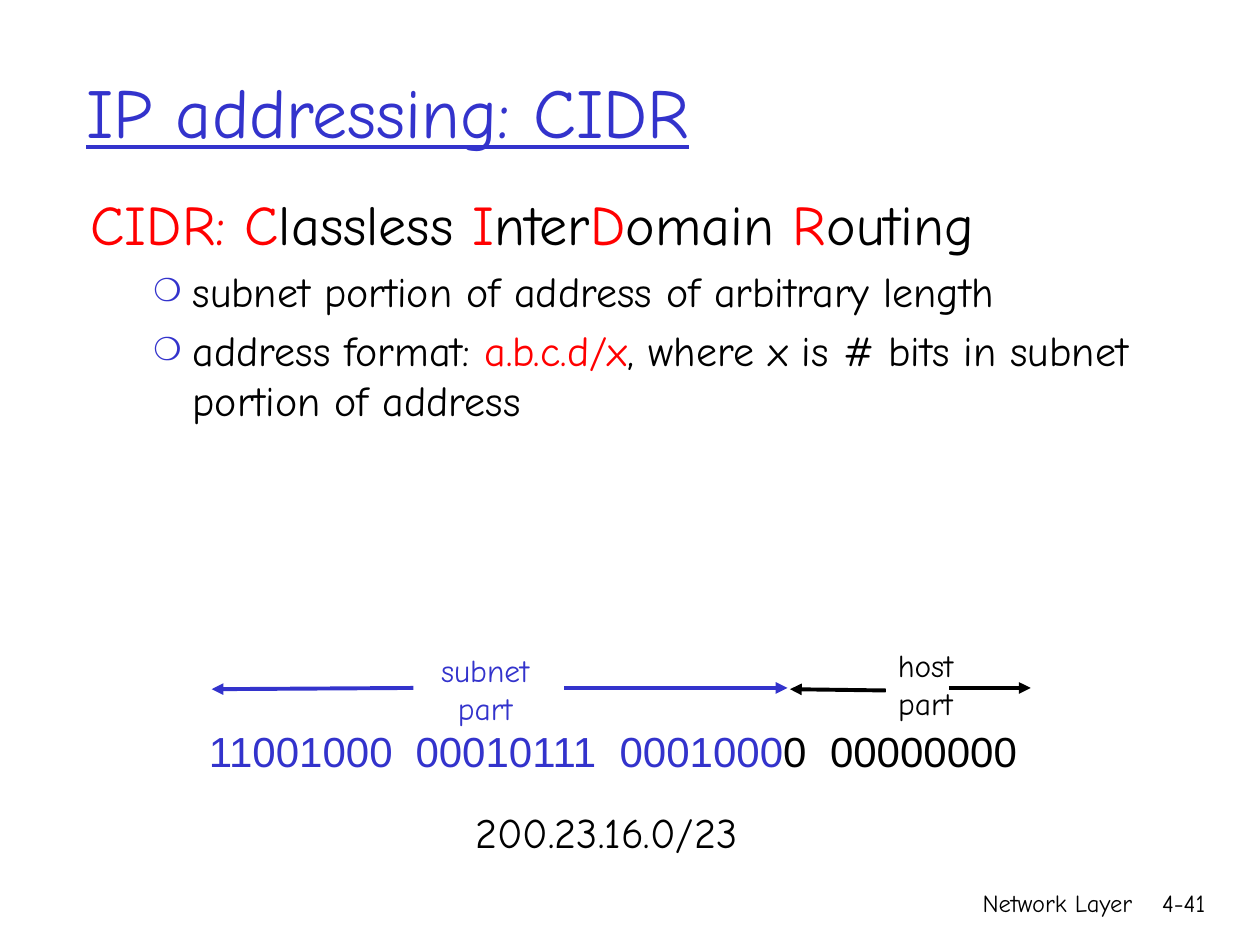
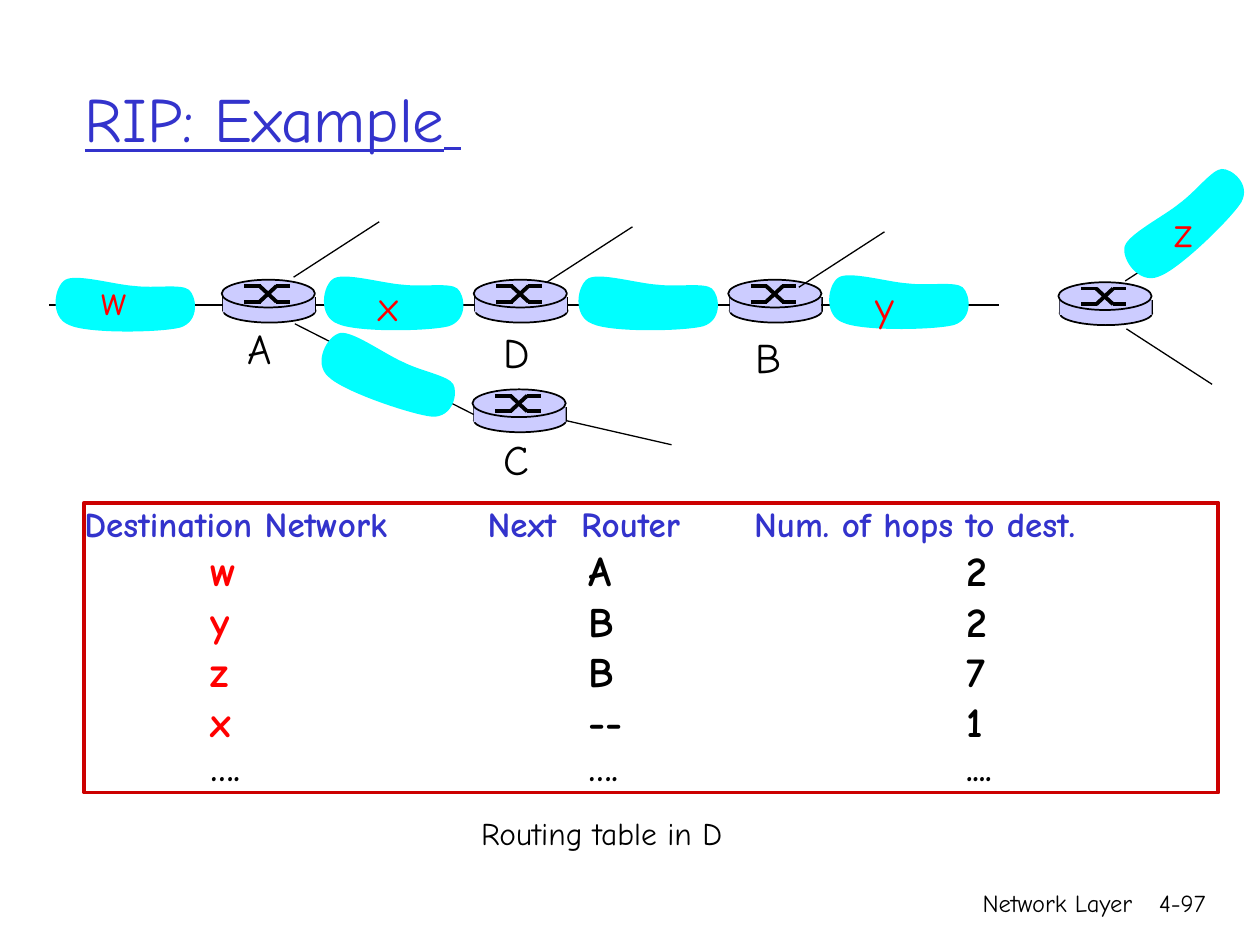
"""Build two networking slides: CIDR addressing and a RIP routing example."""
from dataclasses import dataclass
from typing import Any, NamedTuple

from lxml.etree import SubElement
from pptx import Presentation
from pptx.dml.color import RGBColor
from pptx.enum.shapes import MSO_CONNECTOR, MSO_SHAPE
from pptx.enum.text import MSO_ANCHOR, PP_ALIGN
from pptx.oxml.ns import qn
from pptx.util import Inches, Pt

SLIDE_WIDTH, SLIDE_HEIGHT = Inches(10), Inches(7.5)
COLUMNS = 100
CELL = SLIDE_WIDTH / COLUMNS


@dataclass(frozen=True)
class Theme:
    """Colours, fonts, type sizes and line widths shared by the slides."""
    ink: str = "000000"
    accent: str = "3333CC"
    highlight: str = "FF0000"
    frame: str = "CC0000"
    network: str = "00FFFF"
    router: str = "CCCCFF"
    face: str = "Comic Neue"
    digits: str = "Arial"
    title: float = 40
    small_title: float = 36
    title_tail: float = 28
    lead: float = 32
    body: float = 24
    header: float = 20
    label: float = 18
    footer: float = 14
    thin: float = 0.75
    medium: float = 1
    thick: float = 2.25


THEME = Theme()


class Box(NamedTuple):
    """A rectangle in grid cells."""
    left: float
    top: float
    width: float
    height: float


class Point(NamedTuple):
    """A position in grid cells."""
    x: float
    y: float


class Run(NamedTuple):
    """Text that may differ in colour or size from its paragraph."""
    text: str
    color: str | None = None
    size: float | None = None


class Label(NamedTuple):
    """A short text and its box."""
    text: str
    box: Box


class Arrow(NamedTuple):
    """An arrow pointing at its end."""
    start: Point
    end: Point
    color: str


class Network(NamedTuple):
    """The corner and rotation of one network cloud."""
    corner: Point
    angle: float = 0


class Route(NamedTuple):
    """One line of the routing table."""
    destination: str
    router: str
    hops: str


def cells(*counts: float) -> list[int]:
    """Convert grid cells to slide units."""
    return [round(count * CELL) for count in counts]


def add_bullet(paragraph: Any) -> None:
    """Give a paragraph a hanging ring bullet."""
    props = paragraph._p.get_or_add_pPr()
    props.set("marL", str(Inches(0.81)))
    props.set("indent", str(-Inches(0.31)))
    SubElement(SubElement(props, qn("a:buClr")), qn("a:srgbClr"), val=THEME.accent)
    SubElement(props, qn("a:buSzPct"), val="75000")
    SubElement(props, qn("a:buFont"), typeface=THEME.digits)
    SubElement(props, qn("a:buChar"), char="❍")


def write(frame: Any, *paragraphs: list[Run], size: float = THEME.body,
          color: str = THEME.ink, face: str = THEME.face, bold: bool = False,
          underline: bool = False, align: PP_ALIGN = PP_ALIGN.LEFT,
          bullets_from: int | None = None, tabs: tuple[float, ...] = ()) -> None:
    """Append formatted paragraphs to a text frame."""
    for index, runs in enumerate(paragraphs):
        paragraph = frame.add_paragraph() if frame.text else frame.paragraphs[0]
        paragraph.alignment = align
        if bullets_from is not None and index >= bullets_from:
            paragraph.space_before = Pt(5)
            add_bullet(paragraph)
        if tabs:
            stops = SubElement(paragraph._p.get_or_add_pPr(), qn("a:tabLst"))
            for stop in cells(*tabs):
                SubElement(stops, qn("a:tab"), pos=str(stop), algn="l")
        for part in runs:
            run = paragraph.add_run()
            run.text = part.text
            font = run.font
            font.name, font.size = face, Pt(part.size or size)
            font.bold, font.underline = bold, underline
            font.color.rgb = RGBColor.from_string(part.color or color)


def add_text(slide: Any, box: Box, *paragraphs: list[Run], wrap: bool = False,
             anchor: MSO_ANCHOR = MSO_ANCHOR.TOP, **style: Any) -> None:
    """Place a text box on the grid."""
    frame = slide.shapes.add_textbox(*cells(*box)).text_frame
    frame.word_wrap, frame.vertical_anchor = wrap, anchor
    write(frame, *paragraphs, **style)


def add_line(slide: Any, start: Point, end: Point, width: float,
             color: str = THEME.ink, arrow: bool = False) -> Any:
    """Draw a straight line, with an arrowhead at its end on request."""
    line = slide.shapes.add_connector(MSO_CONNECTOR.STRAIGHT, *cells(*start, *end))
    line.line.width = Pt(width)
    line.line.color.rgb = RGBColor.from_string(color)
    if arrow:
        SubElement(line.line._get_or_add_ln(), qn("a:tailEnd"), type="triangle")
    SubElement(line._element.spPr, qn("a:effectLst"))
    return line


def paint(shape: Any, fill: str | None, outline: str | None, width: float = THEME.medium) -> None:
    """Set or clear the fill and the outline of a shape."""
    shape.shadow.inherit = False
    if fill:
        shape.fill.solid()
        shape.fill.fore_color.rgb = RGBColor.from_string(fill)
    else:
        shape.fill.background()
    if outline:
        shape.line.color.rgb = RGBColor.from_string(outline)
        shape.line.width = Pt(width)
    else:
        shape.line.fill.background()


def add_router(slide: Any, corner: Point) -> Any:
    """Draw a router and return the band that links attach to."""
    x, y = corner

    def add_part(kind: MSO_SHAPE, box: Box, outline: str | None) -> Any:
        """Draw one solid part of the router."""
        part = slide.shapes.add_shape(
            kind, *cells(x + box.left, y + box.top, box.width, box.height))
        paint(part, THEME.router, outline)
        return part

    add_part(MSO_SHAPE.OVAL, Box(0.1, 1.5, 7.35, 1.9), THEME.ink)
    for side in (0.1, 7.45):
        add_line(slide, Point(x + side, y + 1.4), Point(x + side, y + 2.5), THEME.medium)
    band = add_part(MSO_SHAPE.RECTANGLE, Box(0.1, 1.4, 7.3, 1.2), None)
    add_part(MSO_SHAPE.OVAL, Box(0, 0, 7.4, 2.2), THEME.ink)
    high, low = y + 0.5, y + 1.75
    for near, far in ((high, low), (low, high)):
        add_line(slide, Point(x + 1.8, near), Point(x + 3.1, near), THEME.thick)
        add_line(slide, Point(x + 3, near), Point(x + 4.35, far), THEME.thick)
        add_line(slide, Point(x + 4.3, far), Point(x + 5.4, far), THEME.thick)
    return band


CLOUD_START = Point(6.8, 1)
CLOUD_CURVES = (
    (Point(5.2, 0.9), Point(2.2, 0), Point(1.3, 0.5)),
    (Point(0.4, 1), Point(0, 3.5), Point(1.6, 4.1)),
    (Point(3.1, 4.8), Point(8.8, 4.7), Point(10.4, 4.3)),
    (Point(12, 3.8), Point(11.7, 1.8), Point(11.1, 1.3)),
    (Point(10.5, 0.8), Point(8.4, 1.2), CLOUD_START),
)


def add_network(slide: Any, network: Network) -> None:
    """Draw a network cloud with curved sides."""
    def place(point: Point) -> list[int]:
        """Move an outline point to the corner of this cloud."""
        return cells(network.corner.x + point.x, network.corner.y + point.y)

    builder = slide.shapes.build_freeform(*place(CLOUD_START))
    builder.add_line_segments([place(point) for curve in CLOUD_CURVES for point in curve])
    cloud = builder.convert_to_shape()
    outline = next(cloud._element.iter(qn("a:path")))
    segments = outline.findall(qn("a:lnTo"))
    for first in range(0, len(segments), 3):
        curve = SubElement(outline, qn("a:cubicBezTo"))
        for segment in segments[first:first + 3]:
            curve.append(segment[0])
            outline.remove(segment)
    SubElement(outline, qn("a:close"))
    cloud.rotation = network.angle
    paint(cloud, THEME.network, None)


def add_routing_table(slide: Any, box: Box, headings: Route, routes: list[Route]) -> None:
    """Draw the framed routing table, aligned by tab stops."""
    panel = slide.shapes.add_shape(MSO_SHAPE.RECTANGLE, *cells(*box))
    paint(panel, None, THEME.frame, THEME.thick)
    frame = panel.text_frame
    frame.word_wrap, frame.vertical_anchor = True, MSO_ANCHOR.TOP
    frame.margin_left = frame.margin_right = frame.margin_top = frame.margin_bottom = 0
    write(frame, [Run("\t".join(headings))], size=THEME.header, color=THEME.accent,
          bold=True, tabs=(32, 53.15))
    for route in routes:
        known = route.destination.isalpha()
        write(frame, [Run("\t"),
                      Run(route.destination, THEME.highlight if known else THEME.ink),
                      Run(f"\t{route.router}\t{route.hops}")],
              size=THEME.body if known else THEME.header, bold=True, tabs=(10, 40, 70))


def start_slide(deck: Any, title: list[Run], box: Box, size: float, page: str) -> Any:
    """Add a blank slide with its title and footer."""
    slide = deck.slides.add_slide(deck.slide_layouts[6])
    for text, place in (("Network Layer", Box(59.15, 70, 31.7, 5)),
                        (page, Box(89.25, 70, 7.4, 5))):
        add_text(slide, place, [Run(text)], wrap=True, size=THEME.footer, align=PP_ALIGN.RIGHT)
    add_text(slide, box, title, wrap=True, anchor=MSO_ANCHOR.MIDDLE, size=size,
             color=THEME.accent, underline=True)
    return slide


def build_cidr(deck: Any) -> None:
    """Build the CIDR addressing slide."""
    slide = start_slide(deck, [Run("IP addressing: CIDR")], Box(5.85, 2.5, 85, 12.5),
                        THEME.title, "4-41")
    acronym = (("CIDR: C", "lassless "), ("I", "nter"), ("D", "omain "), ("R", "outing"))
    lead = [Run(text, color, THEME.lead) for pair in acronym
            for text, color in zip(pair, (THEME.highlight, THEME.ink))]
    add_text(slide, Box(6.2, 14.55, 88.7, 34.7), lead,
             [Run("subnet portion of address of arbitrary length")],
             [Run("address format: "), Run("a.b.c.d/x", THEME.highlight),
              Run(", where x is # bits in subnet portion of address")],
             wrap=True, bullets_from=1)
    add_text(slide, Box(15.6, 57.1, 67, 5),
             [Run("11001000\t00010111\t0001000", THEME.accent), Run("0\t00000000")],
             wrap=True, face=THEME.digits, tabs=(16.4, 32.6, 49.3))
    for part, box, color in (("subnet", Box(33.55, 51.2, 9.9, 7), THEME.accent),
                             ("host", Box(69.85, 50.8, 7.2, 7), THEME.ink)):
        add_text(slide, box, [Run(part)], [Run("part")], size=THEME.label,
                 color=color, align=PP_ALIGN.CENTER)
    for arrow in (Arrow(Point(44.8, 54.6), Point(62.5, 54.6), THEME.accent),
                  Arrow(Point(32.8, 54.6), Point(16.8, 54.7), THEME.accent),
                  Arrow(Point(70.3, 54.8), Point(62.7, 54.7), THEME.ink),
                  Arrow(Point(75.3, 54.6), Point(81.8, 54.6), THEME.ink)):
        add_line(slide, arrow.start, arrow.end, THEME.thick, arrow.color, arrow=True)
    add_text(slide, Box(36.75, 63.5, 26, 5), [Run("200.23.16.0/23")])


def build_rip(deck: Any) -> None:
    """Build the RIP example slide."""
    slide = start_slide(deck, [Run("RIP: Example"), Run(" ", size=THEME.title_tail)],
                        Box(5.75, 3.05, 85, 12.5), THEME.small_title, "4-97")
    add_routing_table(
        slide, Box(6.7, 39.9, 90, 23),
        Route("Destination Network", "Next  Router", "Num. of hops to dest."),
        [Route("w", "A", "2"), Route("y", "B", "2"), Route("z", "B", "7"),
         Route("x", "--", "1"), Route("….", "….", "....")])
    a, d, b, c, _ = [add_router(slide, corner) for corner in (
        Point(17.6, 22.2), Point(37.6, 22.2), Point(57.8, 22.2),
        Point(37.5, 30.9), Point(84, 22.4))]
    level = 24.2
    for start, end, source, target, width in (
            (Point(3.9, level), Point(17.7, level), None, a, THEME.medium),
            (Point(25, level), Point(37.7, level), a, d, THEME.medium),
            (Point(45, level), Point(57.9, level), d, b, THEME.medium),
            (Point(65.2, level), Point(79.3, level), b, None, THEME.medium),
            (Point(23.4, 25.7), Point(37.6, 32.9), None, c, THEME.thin)):
        link = add_line(slide, start, end, width)
        if source:
            link.begin_connect(source, 3)
        if target:
            link.end_connect(target, 1)
    for x, y in ((23.3, 22), (43.4, 22.4), (63.4, 22.8), (89.3, 22.3)):
        add_line(slide, Point(x, y), Point(x + 6.8, y - 4.4), THEME.thin)
    add_line(slide, Point(89.4, 26.1), Point(96.2, 30.5), THEME.thin)
    add_line(slide, Point(45, 33.4), Point(53.3, 35.3), THEME.thin)
    for network in (Network(Point(3.9, 21.7)), Network(Point(25.2, 21.6)),
                    Network(Point(45.4, 21.6)), Network(Point(65.3, 21.5)),
                    Network(Point(24.8, 27.4), 19.7), Network(Point(88, 15.3), 316.8)):
        add_network(slide, network)
    for label in (Label("w", Box(7.1, 21.2, 4.3, 5)), Label("x", Box(29.1, 21.7, 4, 5)),
                  Label("y", Box(68.5, 21.7, 3.8, 5)), Label("z", Box(92.2, 15.8, 3.8, 5)),
                  Label("A", Box(18.7, 25.1, 4.4, 5)), Label("C", Box(39, 33.9, 4, 5)),
                  Label("D", Box(39, 25.4, 4.4, 5)), Label("B", Box(59, 25.8, 4.1, 5))):
        add_text(slide, label.box, [Run(label.text)],
                 color=THEME.highlight if label.text.islower() else THEME.ink)
    add_text(slide, Box(37.2, 64.1, 22.7, 4), [Run("Routing table in D")], size=THEME.label)


def main() -> None:
    """Build and save the deck."""
    deck = Presentation()
    deck.slide_width, deck.slide_height = SLIDE_WIDTH, SLIDE_HEIGHT
    build_cidr(deck)
    build_rip(deck)
    deck.save("out.pptx")


if __name__ == "__main__":
    main()
